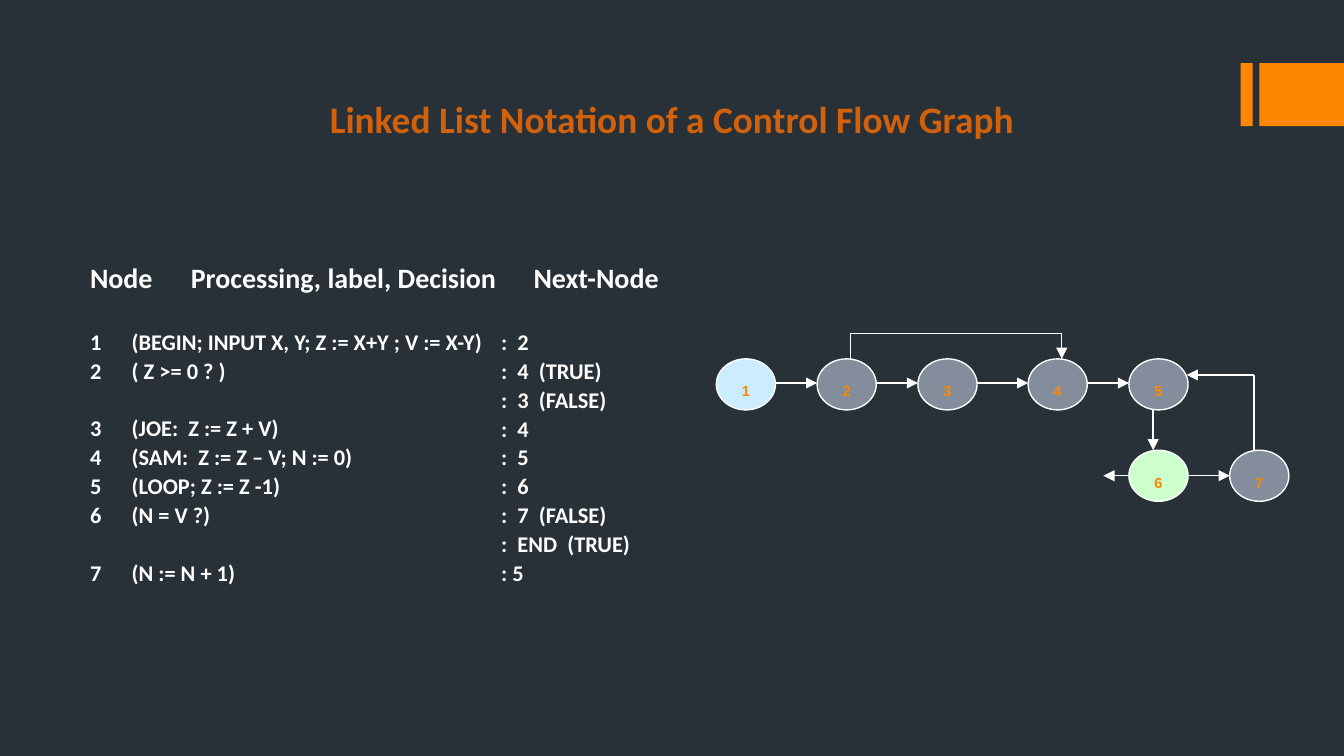
from lxml.etree import SubElement
from pptx import Presentation
from pptx.dml.color import RGBColor
from pptx.enum.shapes import MSO_CONNECTOR, MSO_SHAPE
from pptx.enum.text import MSO_ANCHOR, MSO_AUTO_SIZE, PP_ALIGN
from pptx.oxml.ns import qn
from pptx.util import Inches, Pt

COLORS = {
    "background": "283138", "accent": "FF8600", "title": "D2610C",
    "white": "FFFFFF", "start": "CCECFF", "step": "838D9B", "end": "CCFFCC",
}
RGB = {name: RGBColor.from_string(value) for name, value in COLORS.items()}


def write(frame, text, size, color, font="Calibri", align=PP_ALIGN.LEFT,
          before=0, spacing=0.9, indent=0, baseline=0):
    """Add one bold paragraph without a bullet, indented by inches."""
    paragraph = frame.add_paragraph() if frame.text else frame.paragraphs[0]
    paragraph.alignment = align
    paragraph.line_spacing = spacing
    paragraph.space_before = Pt(before)
    properties = paragraph._p.get_or_add_pPr()
    properties.set("marL", str(Inches(indent)))
    properties.set("indent", "0")
    SubElement(properties, qn("a:buNone"))
    run = paragraph.add_run()
    run.text = text
    run.font.name = font
    run.font.size = Pt(size)
    run.font.bold = True
    run.font.color.rgb = RGB[color]
    if baseline:
        run._r.get_or_add_rPr().set("baseline", str(baseline * 1000))


def draw_edge(*points):
    """Draw straight segments through the points, with an arrowhead at the last."""
    for start, finish in zip(points, points[1:]):
        edge = slide.shapes.add_connector(
            MSO_CONNECTOR.STRAIGHT, *(Inches(v) for v in start + finish))
        edge.line.color.rgb = RGB["white"]
        edge.line.width = Pt(0.75)
        SubElement(edge._element.spPr, qn("a:effectLst"))
    SubElement(edge.line._get_or_add_ln(), qn("a:tailEnd"), type="triangle")


prs = Presentation()
prs.slide_width, prs.slide_height = Inches(10), Inches(10 * 9 / 16)
slide = prs.slides.add_slide(prs.slide_layouts[1])
slide.background.fill.solid()
slide.background.fill.fore_color.rgb = RGB["background"]

# Corner bars
for left, width in ((9.23, 0.09), (9.37, 0.63)):
    bar = slide.shapes.add_shape(
        MSO_SHAPE.RECTANGLE, Inches(left), Inches(0.47), Inches(width), Inches(0.47))
    bar.shadow.inherit = False
    bar.fill.solid()
    bar.fill.fore_color.rgb = RGB["accent"]
    bar.line.fill.background()

# Title and the three columns of the linked list
title, processing = slide.shapes.title, slide.placeholders[1]
node_numbers, next_nodes = (slide.shapes.add_textbox(0, 0, 0, 0) for _ in range(2))
LIST_TOP, LIST_H = 1.97, 2.6
for area, left, top, width, height in (
        (title, 0.35, 0.75, 9.3, 0.4),
        (node_numbers, 0.67, LIST_TOP, 0.6, LIST_H),
        (processing, 0.98, LIST_TOP, 2.75, LIST_H),
        (next_nodes, 3.73, LIST_TOP, 1.4, LIST_H)):
    area.left, area.top = Inches(left), Inches(top)
    area.width, area.height = Inches(width), Inches(height)
    frame = area.text_frame
    frame.margin_left = frame.margin_right = frame.margin_top = frame.margin_bottom = 0
    frame.vertical_anchor = MSO_ANCHOR.TOP
    frame.auto_size = MSO_AUTO_SIZE.NONE
    frame.word_wrap = True

write(title.text_frame, "Linked List Notation of a Control Flow Graph", 20, "title",
      align=PP_ALIGN.CENTER)

# Linked list: heading, heading indent and entries of each column
rows = [
    ("1", "(BEGIN; INPUT X, Y; Z := X+Y ; V := X-Y)", ":  2"),
    ("2", "( Z >= 0 ? )", ":  4  (TRUE)"),
    ("", "", ":  3  (FALSE)"),
    ("3", "(JOE:  Z := Z + V)", ":  4"),
    ("4", "(SAM:  Z := Z – V; N := 0)", ":  5"),
    ("5", "(LOOP; Z := Z -1)", ":  6"),
    ("6", "(N = V ?)", ":  7  (FALSE)"),
    ("", "", ":  END  (TRUE)"),
    ("7", "(N := N + 1)", ": 5"),
]
headings = [
    (node_numbers, "Node", 0),
    (processing, "Processing, label, Decision", 0.44),
    (next_nodes, "Next-Node", 0.24),
]
ROW_GAP, ROW_PITCH = 2.5, 15.4
for (column, heading, indent), entries in zip(headings, zip(*rows)):
    write(column.text_frame, heading, 15, "white", indent=indent)
    gap = 19.4
    for entry in entries:
        if entry:
            write(column.text_frame, entry, 12, "white", before=gap)
            gap = ROW_GAP
        else:
            gap += ROW_PITCH

# Graph edges
NODE_W, NODE_H = 0.44, 0.38
TOP_ROW, BOTTOM_ROW = 2.67, 3.35
TOP_MID, BOTTOM_MID = 2.85, 3.54
top_lefts = [5.33, 6.08, 6.83, 7.65, 8.4]
for left, next_left in zip(top_lefts, top_lefts[1:]):
    draw_edge((left + NODE_W, TOP_MID), (next_left, TOP_MID))
draw_edge((6.33, TOP_ROW), (6.33, 2.48), (7.9, 2.48), (7.9, TOP_ROW))
draw_edge((8.58, TOP_ROW + NODE_H), (8.58, BOTTOM_ROW))
draw_edge((8.4 + NODE_W, BOTTOM_MID), (9.15, BOTTOM_MID))
draw_edge((9.33, BOTTOM_ROW), (9.33, 2.79), (8.83, 2.79))
draw_edge((8.4, BOTTOM_MID), (8.21, BOTTOM_MID))

# Graph nodes
places = [(left, TOP_ROW) for left in top_lefts] + [(8.4, BOTTOM_ROW), (9.15, BOTTOM_ROW)]
special_fills = {1: "start", 6: "end"}
for number, (left, top) in enumerate(places, start=1):
    node = slide.shapes.add_shape(
        MSO_SHAPE.OVAL, Inches(left), Inches(top), Inches(NODE_W), Inches(NODE_H))
    node.shadow.inherit = False
    node.fill.solid()
    node.fill.fore_color.rgb = RGB[special_fills.get(number, "step")]
    node.line.color.rgb = RGB["white"]
    node.line.width = Pt(0.75)
    node.text_frame.word_wrap = False
    node.text_frame.vertical_anchor = MSO_ANCHOR.MIDDLE
    write(node.text_frame, str(number), 13.5, "accent", font="Arial",
          align=PP_ALIGN.CENTER, spacing=1.0, baseline=-12)

prs.save("out.pptx")
